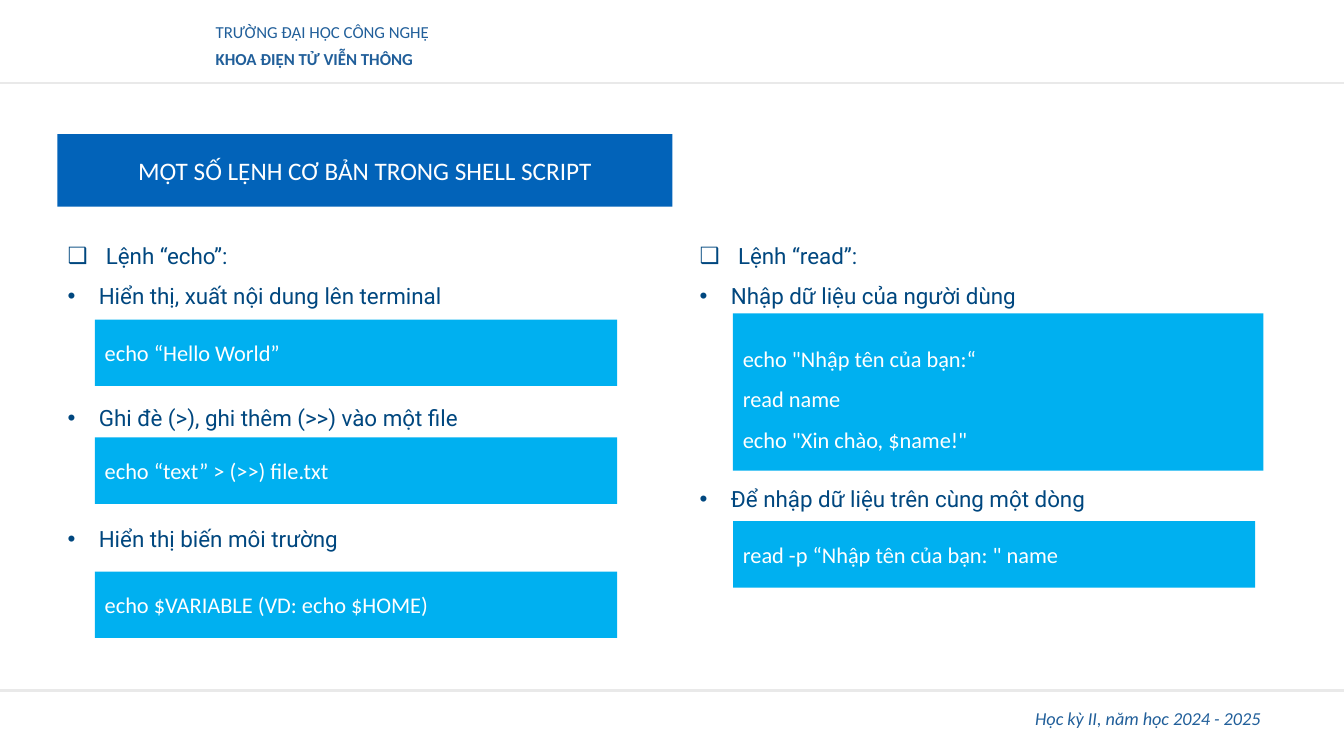
from lxml.etree import SubElement
from pptx import Presentation
from pptx.dml.color import RGBColor
from pptx.enum.shapes import MSO_CONNECTOR, MSO_SHAPE
from pptx.enum.text import MSO_ANCHOR as Anchor, MSO_AUTO_SIZE as AutoSize, PP_ALIGN as Align
from pptx.oxml.ns import qn
from pptx.util import Inches, Pt

COLORS = {"frame": "215F9A", "rule": "E9E9E9", "title": "0263B9",
          "body": "00477F", "code": "00B0F0", "white": "FFFFFF"}
WIDTH, HEIGHT = 13.33, 7.5
CODE_HEIGHT = 0.66
BLANK_LINE = 29  # points left free per line of code space

# Each bullet: text, lines left free above it. Each code box: top and size within the column, lines.
ECHO_COLUMN = {
    "heading": "Lệnh “echo”:",
    "bullets": [("Hiển thị, xuất nội dung lên terminal", 0),
                ("Ghi đè (>), ghi thêm (>>) vào một file", 2),
                ("Hiển thị biến môi trường", 2)],
    "code_left": 0.37,
    "codes": [(0.95, 5.18, CODE_HEIGHT, ["echo “Hello World”"]),
              (2.12, 5.18, CODE_HEIGHT, ["echo “text” > (>>) file.txt"]),
              (3.45, 5.18, CODE_HEIGHT, ["echo $VARIABLE (VD: echo $HOME)"])],
}
READ_COLUMN = {
    "heading": "Lệnh “read”:",
    "bullets": [("Nhập dữ liệu của người dùng", 0),
                ("Để nhập dữ liệu trên cùng một dòng", 4)],
    "code_left": 0.43,
    "codes": [(0.89, 5.26, 1.56, ['echo "Nhập tên của bạn:“', "read name",
                                  'echo "Xin chào, $name!"']),
              (2.95, 5.18, CODE_HEIGHT, ['read -p “Nhập tên của bạn: " name'])],
}


def set_values(target, values):
    for name, value in values.items():
        setattr(target, name, value)


def place(shape, left, top, width, height):
    set_values(shape, {"left": Inches(left), "top": Inches(top),
                       "width": Inches(width), "height": Inches(height)})


def paint(shape, color):
    shape.fill.solid()
    shape.fill.fore_color.rgb = RGBColor.from_string(COLORS[color])
    shape.line.fill.background()


def prepare_frame(shape, anchor):
    frame = shape.text_frame
    set_values(frame, {"word_wrap": True, "auto_size": AutoSize.NONE, "vertical_anchor": anchor})
    return frame


def write(paragraph, text, color, size, font="Calibri", layout=None, **style):
    run = paragraph.add_run()
    run.text = text
    set_values(run.font, {"name": font, "size": Pt(size), **style})
    run.font.color.rgb = RGBColor.from_string(COLORS[color])
    set_values(paragraph, layout or {})


def add_bullet(paragraph, character, indent):
    properties = paragraph._p.get_or_add_pPr()
    properties.set("marL", str(Inches(indent)))
    properties.set("indent", str(-Inches(indent)))
    SubElement(properties, qn("a:buFont")).set("typeface", "Arial")
    SubElement(properties, qn("a:buChar")).set("char", character)


def add_label(slide, box, text, size, anchor=Anchor.TOP, layout=None, **style):
    label = slide.shapes.add_textbox(*map(Inches, box))
    frame = prepare_frame(label, anchor)
    write(frame.paragraphs[0], text, "frame", size, layout=layout, **style)


def add_rule(slide, top):
    rule = slide.shapes.add_connector(MSO_CONNECTOR.STRAIGHT, 0, Inches(top),
                                      Inches(WIDTH), Inches(top))
    rule.line.width = Pt(1.5)
    rule.line.color.rgb = RGBColor.from_string(COLORS["rule"])
    SubElement(rule._element.spPr, qn("a:effectLst"))


def add_header(slide, left, top, bottom):
    names = [("TRƯỜNG ĐẠI HỌC CÔNG NGHỆ", False), ("KHOA ĐIỆN TỬ VIỄN THÔNG", True)]
    for row, (name, bold) in enumerate(names):
        add_label(slide, (left, top + row * 0.27, 3.24, 0.35), name, 12,
                  layout={"line_spacing": 0.9}, bold=bold)
    add_rule(slide, bottom)


def add_footer(slide, right, top):
    add_rule(slide, top)
    add_label(slide, (right - 3.27, top + 0.08, 3.27, 0.4), "Học kỳ II, năm học 2024 - 2025",
              13, Anchor.MIDDLE, {"alignment": Align.RIGHT}, italic=True)


def fill_title(title, box, text):
    place(title, *box)
    geometry = SubElement(title._element.spPr, qn("a:prstGeom"))
    geometry.set("prst", "roundRect")
    guide = SubElement(SubElement(geometry, qn("a:avLst")), qn("a:gd"))
    guide.set("name", "adj")
    guide.set("fmla", "val 50000")
    paint(title, "title")
    frame = prepare_frame(title, Anchor.MIDDLE)
    write(frame.paragraphs[0], text, "white", 18, layout={"alignment": Align.CENTER})


def add_code(slide, box, lines):
    code = slide.shapes.add_shape(MSO_SHAPE.RECTANGLE, *map(Inches, box))
    code.shadow.inherit = False
    paint(code, "code")
    frame = prepare_frame(code, Anchor.MIDDLE)
    spacing = 1.5 if len(lines) > 1 else 1.0
    for row, line in enumerate(lines):
        paragraph = frame.add_paragraph() if row else frame.paragraphs[0]
        write(paragraph, line, "white", 16,
              layout={"alignment": Align.LEFT, "line_spacing": spacing})


def fill_column(slide, body, box, column):
    """Fill the list placeholder and lay the code boxes into its gaps."""
    left, top = box[:2]
    place(body, *box)
    frame = prepare_frame(body, Anchor.TOP)
    items = [(column["heading"], 0, "❑", 0.38)]
    items += [(text, gap, "•", 0.31) for text, gap in column["bullets"]]
    for row, (text, gap, character, indent) in enumerate(items):
        paragraph = frame.add_paragraph() if row else frame.paragraphs[0]
        add_bullet(paragraph, character, indent)
        write(paragraph, text, "body", 16, "Roboto",
              {"alignment": Align.JUSTIFY, "line_spacing": 1.5,
               "space_before": Pt(gap * BLANK_LINE)})
    for offset, width, height, lines in column["codes"]:
        add_code(slide, (left + column["code_left"], top + offset, width, height), lines)


def main():
    presentation = Presentation()
    set_values(presentation, {"slide_width": Inches(WIDTH), "slide_height": Inches(HEIGHT)})
    slide = presentation.slides.add_slide(presentation.slide_layouts.get_by_name("Two Content"))
    title, echo_body, read_body = slide.placeholders

    add_header(slide, 2.04, 0.19, 0.82)
    add_footer(slide, 12.6, 6.85)
    fill_title(title, (0.57, 1.33, 6.1, 0.72), "MỘT SỐ LỆNH CƠ BẢN TRONG SHELL SCRIPT")
    fill_column(slide, echo_body, (0.57, 2.22, 6.1, 3.28), ECHO_COLUMN)
    fill_column(slide, read_body, (6.84, 2.22, 6.1, 3.28), READ_COLUMN)
    presentation.save("out.pptx")


if __name__ == "__main__":
    main()
